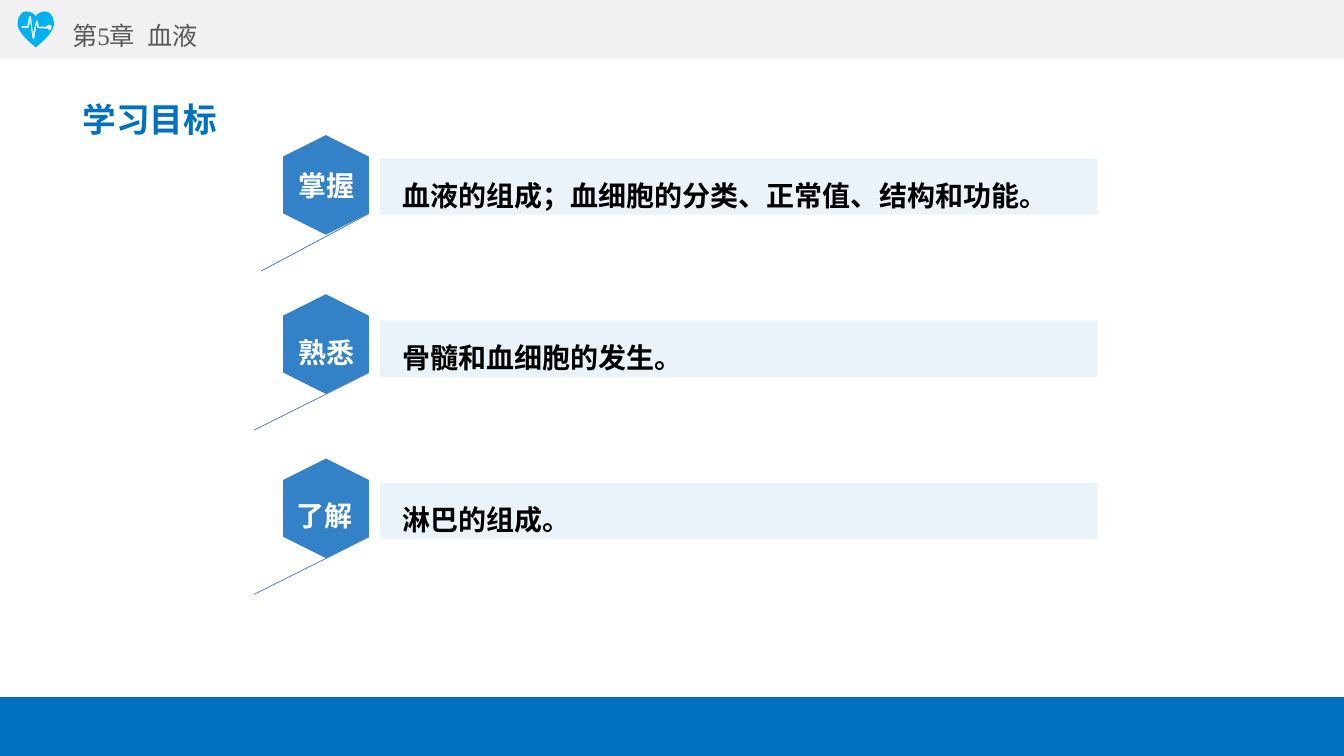
from lxml.etree import SubElement as Sub
from pptx import Presentation
from pptx.dml.color import RGBColor
from pptx.enum.shapes import MSO_CONNECTOR as Conn, MSO_SHAPE as Kind
from pptx.enum.text import MSO_ANCHOR as Anchor, PP_ALIGN as Align
from pptx.oxml.ns import qn
from pptx.util import Cm, Pt


def paint(shape, color):
    shape.shadow.inherit = False
    shape.fill.solid()
    shape.fill.fore_color.rgb = RGBColor.from_string(color)
    shape.line.fill.background()


def write(shape, words, size, color, bold=True, face="Times New Roman",
          align=Align.LEFT, anchor=Anchor.MIDDLE, wrap=True):
    frame = shape.text_frame
    for key, value in {"word_wrap": wrap, "vertical_anchor": anchor}.items():
        setattr(frame, key, value)
    para = frame.paragraphs[0]
    para.alignment, para.line_spacing = align, 1.5
    for word in words:
        run = para.add_run()
        run.text = word
        for key, value in {"size": Pt(size), "bold": bold, "name": face}.items():
            setattr(run.font, key, value)
        run.font.color.rgb = RGBColor.from_string(color)
        props = run.font._element
        Sub(props, qn("a:ea")).set("typeface", "Noto Sans CJK SC")
        if word == " ":
            props.set("spc", "450")


deck = Presentation()
deck.slide_width, deck.slide_height = Cm(33.87), Cm(19.05)
shapes = deck.slides.add_slide(deck.slide_layouts[6]).shapes

# Footer and header bands
for top, color in [(17.57, "0070C0"), (0, "F1F1F3")]:
    band = shapes.add_shape(Kind.RECTANGLE, 0, Cm(top), Cm(33.87), Cm(1.48))
    paint(band, color)

# Heart with a pulse cut out, in thousandths of an inch
half = [(355, 160), (330, 135), (300, 120), (265, 113), (230, 120),
        (205, 143), (185, 175), (175, 220), (176, 250), (185, 285),
        (210, 325), (240, 365), (280, 405), (320, 440), (355, 470)]
heart = half + [(710 - x, y) for x, y in half[-2:0:-1]]
pulse = [(470, 285), (380, 280), (372, 275), (362, 250), (342, 380),
         (333, 390), (322, 380), (300, 210), (285, 272), (278, 280),
         (220, 280), (210, 270), (220, 260), (270, 260), (290, 162),
         (300, 156), (308, 162), (328, 330), (357, 208), (366, 200),
         (374, 208), (390, 265), (460, 265), (470, 252), (490, 243),
         (508, 253), (515, 272), (508, 292), (490, 300)]
pen = shapes.build_freeform(*heart[0], scale=Cm(1) / 393.7)
pen.add_line_segments(heart[1:], close=True)
pen.move_to(*pulse[0])
pen.add_line_segments(pulse[1:], close=True)
paint(pen.convert_to_shape(), "00B0F0")

# Chapter and heading
box = shapes.add_textbox(Cm(1.57), 0, Cm(6.71), Cm(1.27))
write(box, ["第5章", " ", "血液"], 18, "595959", bold=False, anchor=Anchor.TOP)
box = shapes.add_textbox(Cm(1.83), Cm(1.85), Cm(3.96), Cm(1.6))
write(box, ["学习目标"], 24, "0070C0", anchor=Anchor.TOP, wrap=False)

# Goals: label, text, hexagon top, line end, label left and top
goals = [
    ("掌握", "血液的组成；血细胞的分类、正常值、结构和功能。", 3.58, 6.58, 6.63, 3.86),
    ("熟悉", "骨髓和血细胞的发生。", 7.59, 6.4, 6.63, 8.05),
    ("了解", "淋巴的组成。", 11.73, 6.4, 6.58, 12.17),
]
for row, (label, goal, top, end, left, high) in enumerate(goals):
    hexa = shapes.add_shape(Kind.HEXAGON, Cm(6.96), Cm(top), Cm(2.51), Cm(2.16))
    hexa.rotation = 270
    paint(hexa, "3381C7")

    line = shapes.add_connector(Conn.STRAIGHT, Cm(9.3), Cm(top + 1.8),
                                Cm(end), Cm(top + 3.25))
    line.line.width = Pt(0.5)
    line.line.color.rgb = RGBColor.from_string("4472C4")
    Sub(line._element.spPr, qn("a:effectLst"))

    box = shapes.add_textbox(Cm(left), Cm(high), Cm(3.18), Cm(1.22))
    write(box, [label], 20, "FFFFFF", align=Align.CENTER)

    bar = shapes.add_shape(Kind.RECTANGLE, Cm(9.58), Cm(3.99 + 4.09 * row),
                           Cm(18.08), Cm(1.42))
    paint(bar, "0070C0")
    tint = bar._element.spPr.find(".//" + qn("a:srgbClr"))
    Sub(tint, qn("a:alpha")).set("val", "8000")
    bar.text_frame.margin_left = Cm(0.56)
    write(bar, [goal], 20, "000000", face="Noto Sans CJK SC")

deck.save("out.pptx")
